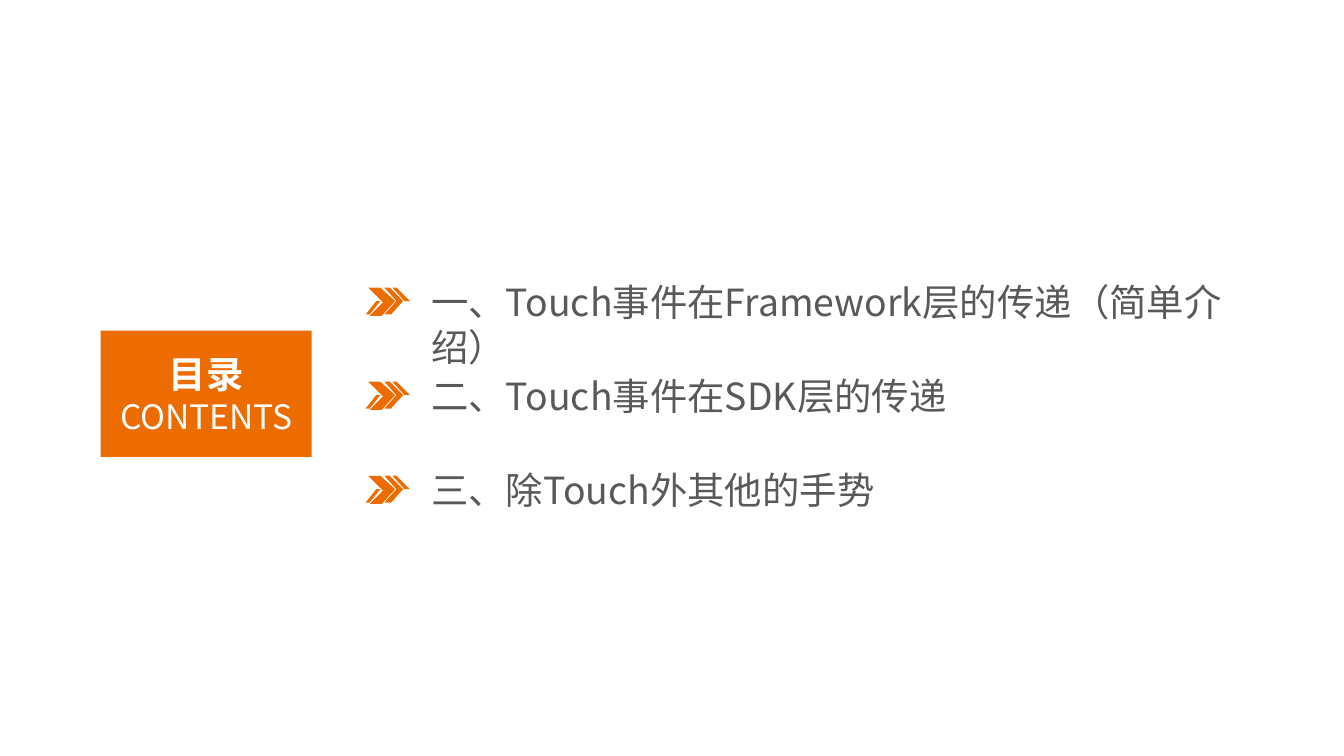
from pptx import Presentation
from pptx.dml.color import RGBColor
from pptx.enum.shapes import MSO_SHAPE
from pptx.enum.text import MSO_ANCHOR, MSO_AUTO_SIZE, PP_ALIGN
from pptx.util import Inches, Pt
from lxml import etree

RECT = MSO_SHAPE.RECTANGLE
MIDDLE = MSO_ANCHOR.MIDDLE
CENTER = PP_ALIGN.CENTER
GROW = MSO_AUTO_SIZE.SHAPE_TO_FIT_TEXT

ORANGE = RGBColor(0xEC, 0x6C, 0x00)
GRAY = RGBColor(0x59, 0x59, 0x59)
WHITE = RGBColor(0xFF, 0xFF, 0xFF)
FONT = "Noto Sans CJK SC"
A = "http://schemas.openxmlformats.org/drawingml/2006/main"

# Chevron strokes, in hundredths of an inch from the row's left and top
MARK = [
    [(2, 11), (11, 11), (22, 21), (12, 32), (3, 32), (13, 22)],
    [(8, 21), (11, 21), (3, 31), (0, 31)],
    [(14, 11), (18, 11), (28, 21), (19, 31), (14, 31), (23, 21)],
    [(23, 11), (20, 11), (29, 21), (33, 21)],
]
INDENT = 0.39
STEP = 0.7
ITEMS = [
    ("一、Touch事件在Framework层的传递（简单介绍）", 6.54, 0.44),
    ("二、Touch事件在SDK层的传递", 6.14, 0.77),
    ("三、除Touch外其他的手势", 5.2, 0.44),
]


def paint(shape):
    shape.shadow.inherit = False
    shape.fill.solid()
    shape.fill.fore_color.rgb = ORANGE
    shape.line.fill.background()


def write(para, text, color, **form):
    run = para.add_run()
    run.text = text
    font = run.font
    for key, val in {"name": FONT, "size": Pt(20), **form}.items():
        setattr(font, key, val)
    font.color.rgb = color
    # Chinese characters take their font from a:ea
    etree.SubElement(run._r.get_or_add_rPr(), f"{{{A}}}ea", typeface=FONT)


def add_title(slide, left, top, width, height):
    box = slide.shapes.add_shape(
        RECT, Inches(left), Inches(top), Inches(width), Inches(height))
    paint(box)
    frame = box.text_frame
    frame.vertical_anchor = MIDDLE
    head, sub = frame.paragraphs[0], frame.add_paragraph()
    head.alignment = sub.alignment = CENTER
    write(head, "目录", WHITE, bold=True)
    write(sub, "CONTENTS", WHITE, size=Pt(18), bold=False)


def add_mark(shapes, left, top):
    for first, *rest in MARK:
        pen = shapes.build_freeform(*first, scale=Inches(0.01))
        pen.add_line_segments(rest, close=True)
        paint(pen.convert_to_shape(Inches(left), Inches(top)))


def add_item(slide, left, top, text, width, height):
    group = slide.shapes.add_group_shape()
    add_mark(group.shapes, left, top)
    box = group.shapes.add_textbox(
        Inches(left + INDENT), Inches(top), Inches(width), Inches(height))
    frame = box.text_frame
    frame.word_wrap = True
    frame.auto_size = GROW
    write(frame.paragraphs[0], text, GRAY)


def add_list(slide, left, top):
    for row, item in enumerate(ITEMS):
        add_item(slide, left, top + row * STEP, *item)


def main():
    deck = Presentation()
    deck.slide_width = Inches(10)
    deck.slide_height = deck.slide_width * 9 // 16
    slide = deck.slides.add_slide(deck.slide_layouts[6])
    add_title(slide, 0.75, 2.46, 1.57, 0.94)
    add_list(slide, 2.72, 2.03)
    deck.save("out.pptx")


if __name__ == "__main__":
    main()
